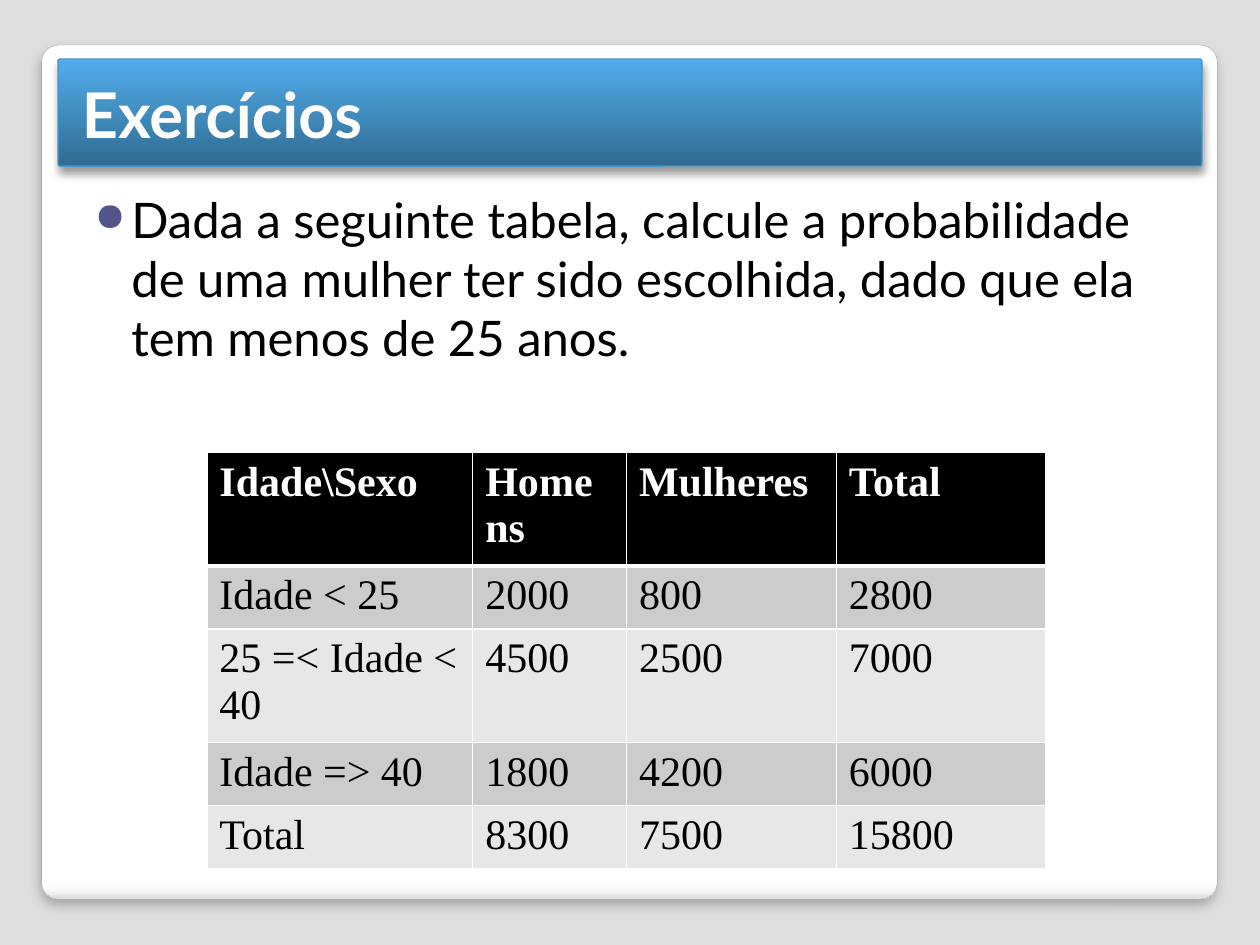
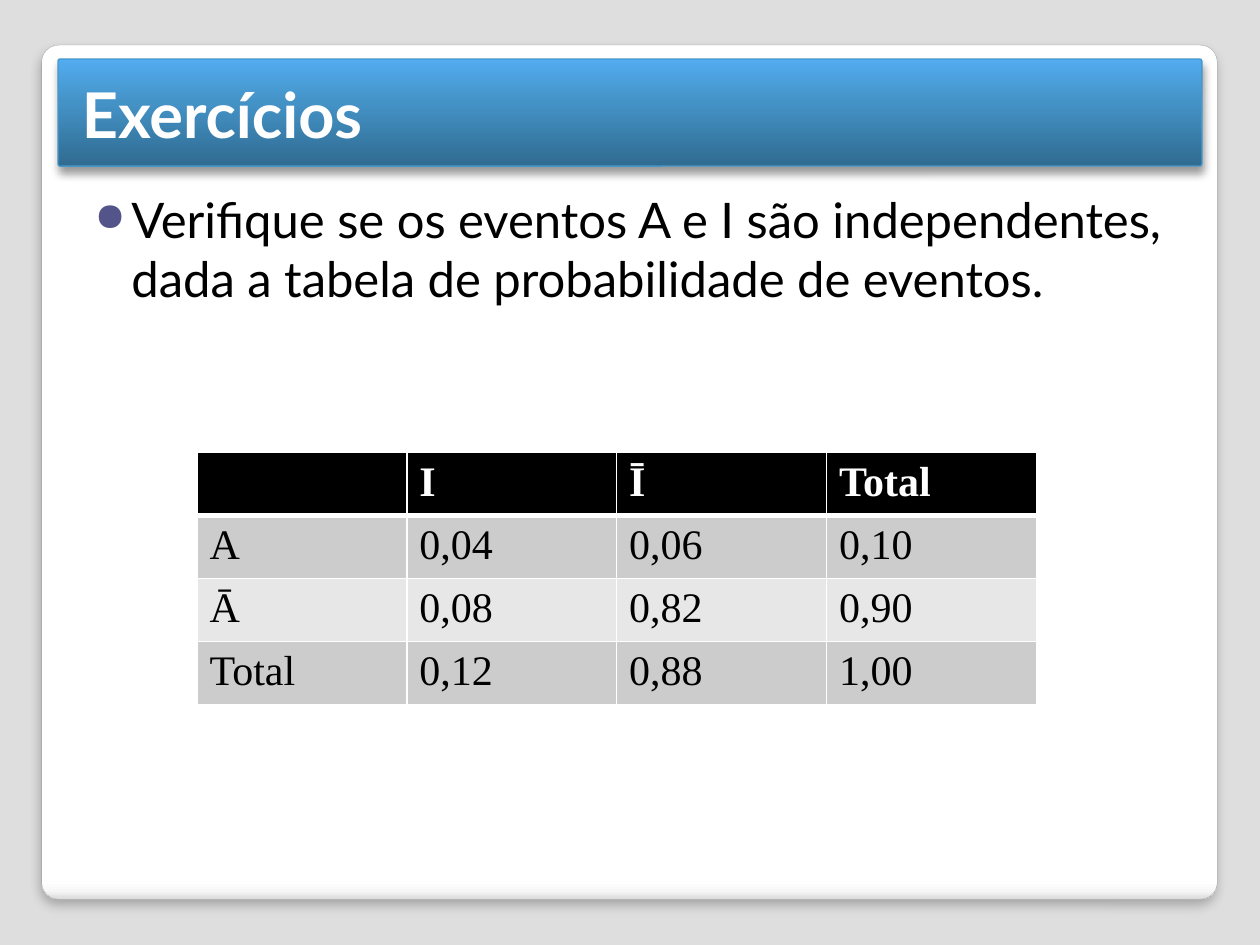
from lxml.etree import SubElement
from pptx import Presentation
from pptx.dml.color import RGBColor
from pptx.enum.shapes import MSO_SHAPE
from pptx.enum.text import MSO_ANCHOR
from pptx.oxml.ns import qn
from pptx.util import Cm, Pt

ROUND = MSO_SHAPE.ROUNDED_RECTANGLE
MIDDLE, TOP = MSO_ANCHOR.MIDDLE, MSO_ANCHOR.TOP

BLACK = RGBColor(0x00, 0x00, 0x00)
WHITE = RGBColor(0xFF, 0xFF, 0xFF)
BACK = RGBColor(0xDE, 0xDE, 0xDE)
MIST = RGBColor(0xF7, 0xF7, 0xF7)
EDGE = RGBColor(0xDA, 0xDA, 0xDA)
RIM = RGBColor(0xA4, 0xA4, 0xA4)
NAVY = RGBColor(0x30, 0x6B, 0x91)
BLUE = RGBColor(0x44, 0x93, 0xC7)
SKY = RGBColor(0x53, 0xAC, 0xF0)
TRIM = RGBColor(0x46, 0x97, 0xCB)
VIOLET = RGBColor(0x53, 0x54, 0x8A)
DARK = RGBColor(0xCC, 0xCC, 0xCC)
LIGHT = RGBColor(0xE7, 0xE7, 0xE7)

SANS, SERIF = "Lato", "Times New Roman"
PAPER = [(0, WHITE), (98, WHITE), (99, MIST), (100, EDGE)]
BAND = [(0, NAVY), (60, BLUE), (100, SKY)]

AGES = [
    ["Idade\\Sexo", "Homens", "Mulheres", "Total"],
    ["Idade < 25", "2000", "800", "2800"],
    ["25 =< Idade < 40", "4500", "2500", "7000"],
    ["Idade => 40", "1800", "4200", "6000"],
    ["Total", "8300", "7500", "15800"],
]
EVENTS = [
    ["", "I", "Ī", "Total"],
    ["A", "0,04", "0,06", "0,10"],
    ["Ā", "0,08", "0,82", "0,90"],
    ["Total", "0,12", "0,88", "1,00"],
]


def add(parent, tag, **attrs):
    """Append a drawing element with the given attributes."""
    return SubElement(parent, qn("a:" + tag), {k: str(v) for k, v in attrs.items()})


class Deck:
    """Hold the shared style and the current slide."""

    def __init__(self):
        """Open an empty deck of 4:3 slides."""
        self.prs = Presentation()
        self.prs.slide_width, self.prs.slide_height = Cm(25.4), Cm(19.05)
        self.slide = None

    def start(self, title):
        """Add a slide with its paper, title band and title."""
        self.slide = self.prs.slides.add_slide(self.prs.slide_layouts[6])
        fill = self.slide.background.fill
        fill.solid()
        fill.fore_color.rgb = BACK
        self.panel((0.84, 0.91, 23.7, 17.22), PAPER, 270, RIM, 0.16, (25, 6, 4))
        self.panel((1.17, 1.19, 23.06, 2.16), BAND, 90, TRIM, 0.75, (40, 5.2, 3))
        self.text((1.4, 1.19, 22.73, 2.18), title, 36, WHITE, True, MIDDLE)

    def panel(self, box, stops, angle, color, width, shade):
        """Draw a rounded panel with a gradient and a shadow below."""
        shape = self.slide.shapes.add_shape(ROUND, *map(Cm, box))
        shape.adjustments[0] = 0.02
        shape.fill.gradient()
        shape.fill.gradient_angle = angle
        shape.line.color.rgb = color
        shape.line.width = Pt(width)
        shape.shadow.inherit = False
        props = shape._element.spPr
        ramp = props.find(".//" + qn("a:gsLst"))
        ramp.clear()
        for place, tint in stops:
            add(add(ramp, "gs", pos=place * 1000), "srgbClr", val=tint)
        alpha, blur, dist = shade
        cast = add(props.find(qn("a:effectLst")), "outerShdw", blurRad=Pt(blur),
                   dist=Pt(dist), dir=90 * 60000, algn="t", rotWithShape=0)
        add(add(cast, "srgbClr", val=BLACK), "alpha", val=alpha * 1000)

    def text(self, box, words, size, color, bold=False, anchor=TOP):
        """Write one paragraph in a wrapped text box and return its frame."""
        frame = self.slide.shapes.add_textbox(*map(Cm, box)).text_frame
        frame.word_wrap = True
        frame.vertical_anchor = anchor
        frame.text = words
        self.style(frame, SANS, size, color, bold)
        return frame

    def style(self, frame, face, size, color, bold):
        """Format every run of a text frame."""
        for para in frame.paragraphs:
            for run in para.runs:
                font = run.font
                font.name, font.size, font.bold = face, Pt(size), bold
                font.color.rgb = color

    def bullet(self, words):
        """Write the body of the slide as a bulleted paragraph."""
        frame = self.text((1.4, 3.58, 22.73, 13.49), words, 28, BLACK)
        frame.margin_left, frame.margin_top = Cm(0.51), Cm(0.25)
        para = frame.paragraphs[0]
        para.space_before = Pt(2.5)
        props = para._p.get_or_add_pPr()
        props.set("marL", str(Cm(0.74)))
        props.set("indent", str(-Cm(0.74)))
        add(add(props, "buClr"), "srgbClr", val=VIOLET)
        add(props, "buSzPct", val=80000)
        add(props, "buChar", char="●")

    def table(self, left, widths, rows):
        """Draw a table with a black header and banded rows."""
        high = Cm(1.03)
        grid = self.slide.shapes.add_table(
            len(rows), len(widths), Cm(left), Cm(9.12),
            Cm(sum(widths)), high * len(rows)).table
        for col, width in zip(grid.columns, widths):
            col.width = Cm(width)
        for r, row in enumerate(rows):
            grid.rows[r].height = high
            head = r == 0
            tint = BLACK if head else DARK if r % 2 else LIGHT
            for c, words in enumerate(row):
                cell = grid.cell(r, c)
                cell.text_frame.text = words
                self.style(cell.text_frame, SERIF, 24, WHITE if head else BLACK, head)
                self.border(cell, T=3 if r == 1 else 1, B=3 if head else 1)
                cell.fill.solid()
                cell.fill.fore_color.rgb = tint

    def border(self, cell, **thick):
        """Rule the four sides of a cell in white."""
        props = cell._tc.get_or_add_tcPr()
        for side in "LRTB":
            line = add(props, "ln" + side, w=Pt(thick.get(side, 1)))
            add(add(line, "solidFill"), "srgbClr", val=WHITE)


def main():
    """Build both exercise slides."""
    deck = Deck()
    deck.start("Exercícios")
    deck.bullet("Dada a seguinte tabela, calcule a probabilidade de uma mulher "
                "ter sido escolhida, dado que ela tem menos de 25 anos.")
    deck.table(4.17, [5.36, 3.1, 4.23, 4.23], AGES)
    deck.start("Exercícios")
    deck.bullet("Verifique se os eventos A e I são independentes, "
                "dada a tabela de probabilidade de eventos.")
    deck.table(3.97, [4.23] * 4, EVENTS)
    deck.prs.save("out.pptx")


if __name__ == "__main__":
    main()
